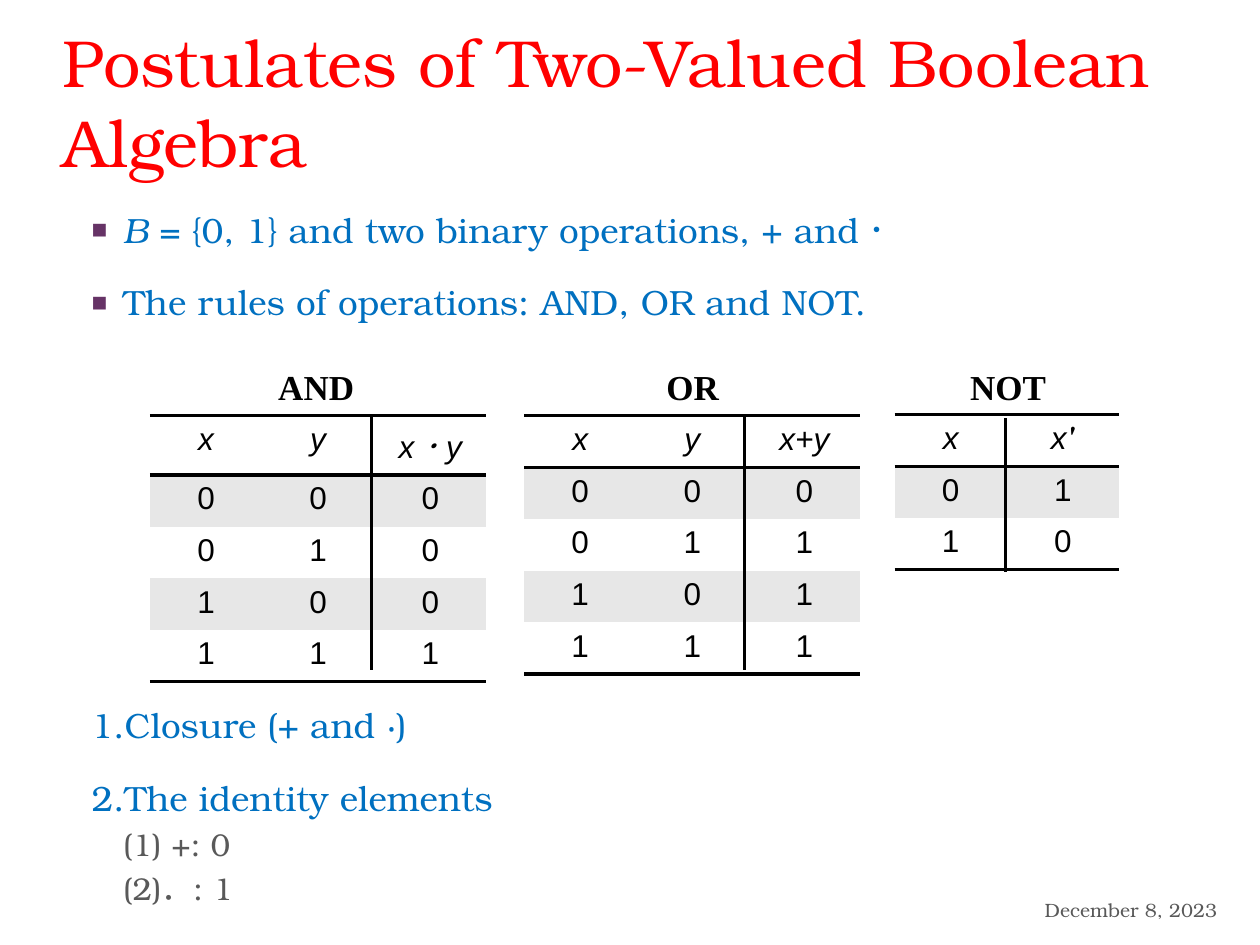
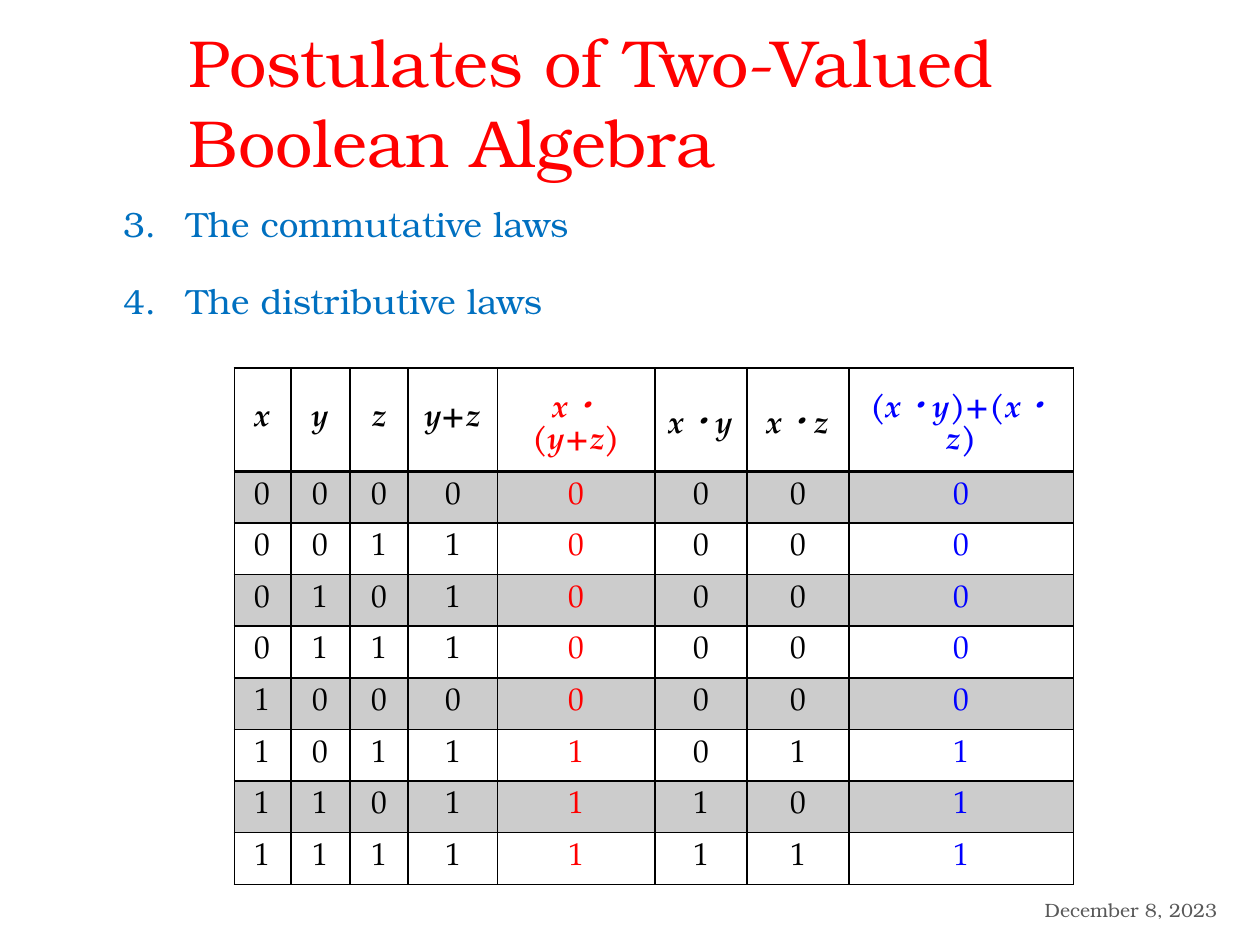
import itertools

import lxml.etree
import pptx
import pptx.dml.color
import pptx.enum.shapes
import pptx.enum.text
import pptx.oxml.ns
import pptx.util

Inches = pptx.util.Inches
Pt = pptx.util.Pt
ALIGN = pptx.enum.text.PP_ALIGN
ANCHOR = pptx.enum.text.MSO_ANCHOR

BONUM = "TeX Gyre Bonum"
PAGELLA = "TeX Gyre Pagella"
TIMES = "Times New Roman"
BLACK, WHITE = "000000", "FFFFFF"
RED, BLUE = "FF0000", "0000FF"
TEXT_BLUE, GREY = "0070C0", "595959"
BULLET_PURPLE, BAND_GREY = "663366", "E7E7E7"
BAND_OPACITY = 20
TITLE = "Postulates of Two-Valued Boolean Algebra"
DATE = "December 8, 2023"
SQUARE = "square"
ROW_HEIGHT = 0.41
GATE_COLUMN = 0.89


def color(hex_text):
    return pptx.dml.color.RGBColor.from_string(hex_text)


def add_child(parent, tag, **attributes):
    return lxml.etree.SubElement(parent, pptx.oxml.ns.qn(tag), attributes)


def style_spans(para, font, size, hex_text, bold=False, italic=False):
    for span in para.runs:
        span.font.name = font
        span.font.size = Pt(size)
        span.font.color.rgb = color(hex_text)
        span.font.bold = bold
        span.font.italic = italic


def center_dots(para):
    for span in para.runs:
        if "．" in span.text:
            span._r.get_or_add_rPr().set("lang", "zh-TW")


def add_box(page, left, top, width, height, inset=None, anchor=ANCHOR.TOP, wrap=True):
    box = page.shapes.add_textbox(Inches(left), Inches(top), Inches(width), Inches(height))
    frame = box.text_frame
    frame.word_wrap = wrap
    frame.vertical_anchor = anchor
    if inset is not None:
        frame.margin_left = frame.margin_right = Inches(inset)
        frame.margin_top = frame.margin_bottom = Inches(inset)
    return frame


def add_title(page, left):
    frame = add_box(page, left, 0.17, 10 - left, 0.78, inset=0)
    frame.text = TITLE
    style_spans(frame.paragraphs[0], BONUM, 38, RED)


def add_date(page):
    frame = add_box(page, 7.43, 7.02, 2.33, 0.4, anchor=ANCHOR.MIDDLE)
    frame.text = DATE
    frame.paragraphs[0].alignment = ALIGN.RIGHT
    style_spans(frame.paragraphs[0], BONUM, 11, GREY)


def set_bullet(para, bullet, left, hanging, start=1):
    properties = para._p.get_or_add_pPr()
    properties.set("marL", str(Inches(left)))
    properties.set("indent", str(-Inches(hanging)))
    if bullet == SQUARE:
        tint = add_child(properties, "a:buClr")
        add_child(tint, "a:srgbClr", val=BULLET_PURPLE)
        add_child(properties, "a:buSzPct", val="75000")
        add_child(properties, "a:buFont", typeface=TIMES)
        add_child(properties, "a:buChar", char="■")
    elif bullet is None:
        add_child(properties, "a:buNone")
    else:
        add_child(properties, "a:buAutoNum", type=bullet, startAt=str(start))


def add_list(frame, lines, bullet, indent, spacing, start=1):
    for index, line in enumerate(lines):
        para = frame.paragraphs[0] if index == 0 else frame.add_paragraph()
        para.text = line
        set_bullet(para, bullet, indent, indent, start)
        para.line_spacing = spacing
        if index:
            para.space_before = Pt(20)
        style_spans(para, BONUM, 20, TEXT_BLUE)


def add_sublist(frame, lines):
    for line in lines:
        para = frame.add_paragraph()
        para.text = line
        para.level = 1
        set_bullet(para, None, 0.5, 0.25)
        para.line_spacing = 0.9
        para.space_before = Pt(6)
        style_spans(para, BONUM, 18, GREY)


def set_borders(cell, **widths):
    properties = cell._tc.get_or_add_tcPr()
    for position, side in enumerate("LRTB"):
        width = widths.get(side, 0)
        line = lxml.etree.Element(pptx.oxml.ns.qn("a:ln" + side), {"w": str(Pt(width))})
        if width:
            fill = add_child(line, "a:solidFill")
            add_child(fill, "a:srgbClr", val=BLACK)
        else:
            add_child(line, "a:noFill")
        properties.insert(position, line)


def set_fill(cell, hex_text, opacity=100):
    cell.fill.solid()
    cell.fill.fore_color.rgb = color(hex_text)
    if opacity < 100:
        tint = cell._tc.tcPr.find(".//" + pptx.oxml.ns.qn("a:srgbClr"))
        add_child(tint, "a:alpha", val=str(opacity * 1000))


def add_grid(page, left, top, widths, rows, header_height):
    heights = [header_height] + [ROW_HEIGHT] * (len(rows) - 1)
    table = page.shapes.add_table(
        len(rows), len(widths), Inches(left), Inches(top),
        Inches(sum(widths)), Inches(sum(heights))).table
    table.horz_banding = False
    for column, width in zip(table.columns, widths):
        column.width = Inches(width)
    for row, height, values in zip(table.rows, heights, rows):
        row.height = Inches(height)
        for cell, value in zip(row.cells, values):
            cell.text = str(value)
            cell.text_frame.paragraphs[0].alignment = ALIGN.CENTER
            center_dots(cell.text_frame.paragraphs[0])
    return table


def add_gate(page, name, name_at, left, top, rows, divider, header_height=ROW_HEIGHT):
    frame = add_box(page, *name_at, 0.44, wrap=False)
    frame.auto_size = pptx.enum.text.MSO_AUTO_SIZE.SHAPE_TO_FIT_TEXT
    frame.text = name
    style_spans(frame.paragraphs[0], TIMES, 20, BLACK, bold=True)

    table = add_grid(page, left, top, [GATE_COLUMN] * len(rows[0]), rows, header_height)
    last = len(rows) - 1
    for index, row in enumerate(table.rows):
        for cell in row.cells:
            style_spans(cell.text_frame.paragraphs[0], "Arial", 18, BLACK, italic=index == 0)
            set_fill(cell, BAND_GREY if index % 2 else WHITE)
            set_borders(cell, T=2 if index < 2 else 0, B=2 if index in (0, last) else 0)
    add_divider(page, *divider)
    return table


def add_divider(page, x, top, bottom):
    line = page.shapes.add_connector(
        pptx.enum.shapes.MSO_CONNECTOR.STRAIGHT, Inches(x), Inches(top), Inches(x), Inches(bottom))
    line.line.color.rgb = color(BLACK)
    line.line.width = Pt(2)
    add_child(line._element.spPr, "a:effectLst")


def add_distributive_table(page):
    header = ["x", "y", "z", "y+z", "x．(y+z)", "x．y", "x．z", "(x．y)+(x．z)"]
    rows = [header] + [
        [x, y, z, y | z, x & (y | z), x & y, x & z, x & y | x & z]
        for x, y, z in itertools.product((0, 1), repeat=3)]
    widths = [0.45, 0.47, 0.46, 0.71, 1.25, 0.73, 0.81, 1.78]
    table = add_grid(page, 1.86, 2.92, widths, rows, header_height=0.82)
    column_colors = {4: RED, 7: BLUE}
    for index, row in enumerate(table.rows):
        heading = index == 0
        for column, cell in enumerate(row.cells):
            cell.vertical_anchor = ANCHOR.MIDDLE
            style_spans(cell.text_frame.paragraphs[0], PAGELLA, 18,
                        column_colors.get(column, BLACK), heading, heading)
            if index % 2:
                set_fill(cell, BLACK, BAND_OPACITY)
            else:
                cell.fill.background()
            set_borders(cell, L=1, R=1, T=2 if index == 1 else 1, B=2 if heading else 1)


def add_page(deck, title_left):
    page = deck.slides.add_slide(deck.slide_layouts[6])
    add_date(page)
    add_title(page, title_left)
    return page


def build_operations(deck):
    page = add_page(deck, 0.5)
    rules = add_box(page, 0.63, 1.64, 9.37, 1.1)
    add_list(rules, [" = {0, 1} and two binary operations, + and．",
                     "The rules of operations: AND, OR and NOT."], SQUARE, 0.25, 0.9)
    first = rules.paragraphs[0]
    tail = first.runs[0].text
    first.runs[0].text = "B"
    first.add_run().text = tail
    style_spans(first, BONUM, 20, TEXT_BLUE)
    first.runs[0].font.italic = True
    center_dots(first)

    postulates = add_box(page, 0.63, 5.57, 6, 1.76)
    add_list(postulates, ["Closure (+ and ‧)", "The identity elements"],
             "arabicPeriod", 0.25, 0.9)
    add_sublist(postulates, ["(1) +: 0", "(2)．: 1"])

    pairs = list(itertools.product((0, 1), repeat=2))
    and_rows = [["x", "y", "x．y"]] + [[x, y, x & y] for x, y in pairs]
    or_rows = [["x", "y", "x+y"]] + [[x, y, x | y] for x, y in pairs]
    not_rows = [["x", "x"]] + [[x, 1 - x] for x in (0, 1)]
    add_gate(page, "AND", (2.11, 2.85, 0.81), 1.19, 3.3, and_rows, (2.95, 3.3, 5.32), 0.47)
    add_gate(page, "OR", (5.19, 2.85, 0.62), 4.16, 3.3, or_rows, (5.91, 3.3, 5.32))
    inverter = add_gate(page, "NOT", (7.6, 2.85, 0.81), 7.1, 3.29, not_rows, (7.98, 3.32, 4.54))
    prime = inverter.cell(0, 1).text_frame.paragraphs[0].add_run()
    prime.text = "'"
    prime.font.name = PAGELLA
    prime.font.size = Pt(18)
    prime.font.color.rgb = color(BLACK)
    prime.font.bold = prime.font.italic = True


def build_laws(deck):
    page = add_page(deck, 1.5)
    laws = add_box(page, 0.88, 1.56, 8.83, 1.2)
    add_list(laws, ["The commutative laws", "The distributive laws"],
             "arabicPeriod", 0.5, 1.0, start=3)
    add_distributive_table(page)


def main():
    deck = pptx.Presentation()
    deck.slide_width = Inches(10)
    deck.slide_height = Inches(7.5)
    build_operations(deck)
    build_laws(deck)
    deck.save("out.pptx")


if __name__ == "__main__":
    main()
